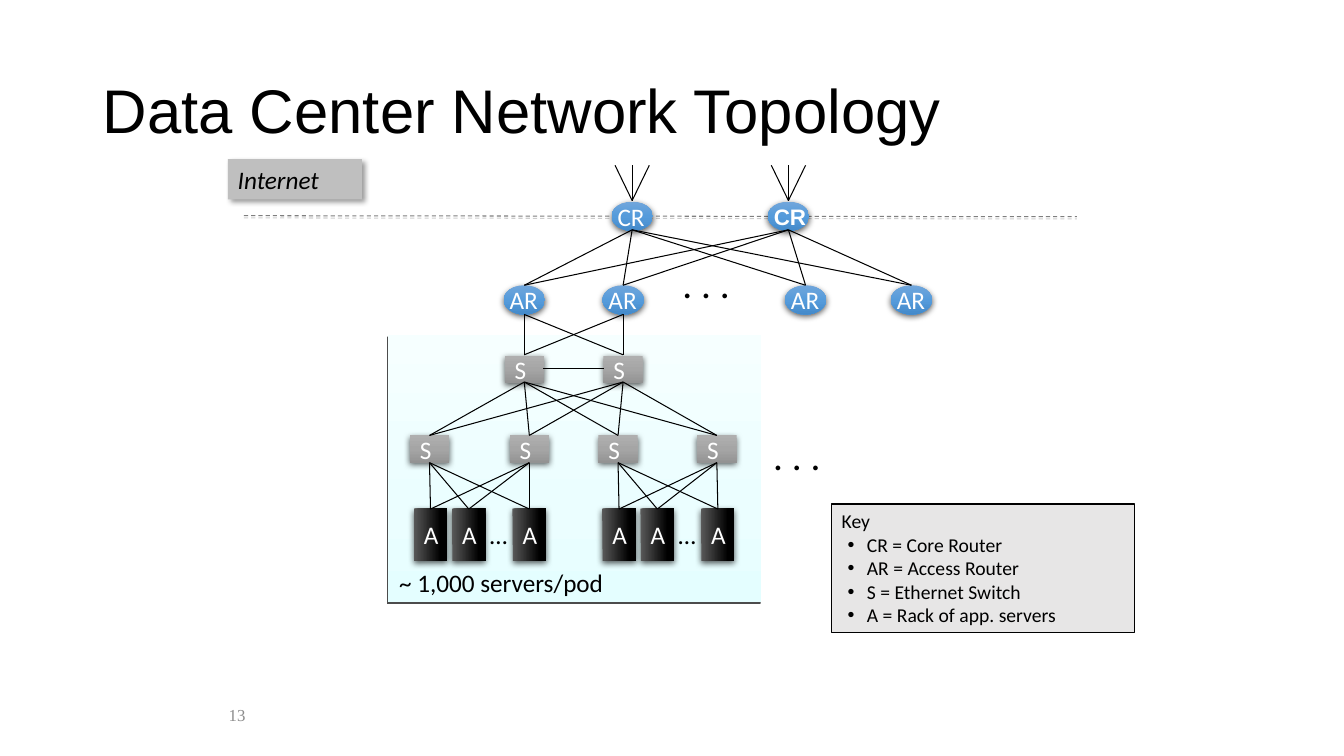
from itertools import product

from pptx import Presentation
from pptx.dml.color import RGBColor
from pptx.enum.dml import MSO_LINE
from pptx.enum.shapes import MSO_CONNECTOR, MSO_SHAPE
from pptx.enum.text import MSO_ANCHOR, MSO_AUTO_SIZE, PP_ALIGN
from pptx.oxml import parse_xml
from pptx.oxml.ns import nsdecls, qn
from pptx.util import Inches, Pt

COLORS = {"black": "000000", "white": "FFFFFF", "number": "8C8C8C",
          "internet": "BFBFBF", "key": "E7E6E6", "border": "7F7F7F"}
# Gradients: angle in degrees, then (position in percent, colour)
GRADIENTS = {
    "pod": (90, [(0, "F6FFFF"), (65, "EBFEFF"), (100, "E4FEFF")]),
    "router": (90, [(0, "71A6DB"), (50, "559BDB"), (100, "448ACA")]),
    "switch": (90, [(0, "AFAFAF"), (50, "A5A5A5"), (100, "939393")]),
    "rack": (0, [(0, "595959"), (80, "000000"), (100, "000000")]),
}
# Shadows: colour, opacity in percent, blur and distance in points, angle
SHADOWS = {"pod": ("000000", 69, 0, 1.6, 120),
           "border": ("808080", 38, 0, 1.6, 90),
           "node": ("000000", 63, 4.5, 1.5, 90),
           "internet": ("000000", 40, 4, 3, 45)}


def rgb(name):
    return RGBColor.from_string(COLORS[name])


class Diagram:
    """Holds the text style and the slide being drawn."""

    font = {"name": "Calibri", "size": 18, "color": "black"}

    def __init__(self, prs):
        self.slide = prs.slides.add_slide(prs.slide_layouts[5])

    def run(self, p, text, **style):
        r = p.add_run()
        r.text = text
        style = {**self.font, **style}
        r.font.color.rgb = rgb(style.pop("color"))
        style["size"] = Pt(style["size"])
        for name, value in style.items():
            setattr(r.font, name, value)

    def frame(self, sp, text, frame=None, **style):
        tf = sp.text_frame
        values = {"word_wrap": True, "auto_size": MSO_AUTO_SIZE.NONE,
                  "vertical_anchor": MSO_ANCHOR.TOP, **(frame or {})}
        for name, value in values.items():
            setattr(tf, name, value)
        p = tf.paragraphs[0]
        p.alignment = PP_ALIGN.LEFT
        self.run(p, text, **style)
        return tf

    def title(self, text, x, y, w, h):
        sp = self.slide.shapes.title
        sp.left, sp.top, sp.width, sp.height = map(Inches, (x, y, w, h))
        tf = self.frame(sp, text, MIDDLE, name="Arial", size=44)
        tf.paragraphs[0].line_spacing = 0.9

    def text(self, text, x, y, w, h, frame=None, **style):
        sp = self.slide.shapes.add_textbox(*map(Inches, (x, y, w, h)))
        self.frame(sp, text, frame, **style)

    def shadow(self, spPr, name):
        """Add an effect list, empty if no shadow is named."""
        effects = spPr.find(qn("a:effectLst"))
        if effects is None:
            effects = parse_xml(f'<a:effectLst {nsdecls("a")}/>')
            spPr.append(effects)
        if name:
            color, alpha, blur, dist, angle = SHADOWS[name]
            effects.append(parse_xml(
                f'<a:outerShdw {nsdecls("a")} blurRad="{Pt(blur)}" dist="{Pt(dist)}" '
                f'dir="{angle * 60000}" algn="ctr" rotWithShape="0">'
                f'<a:srgbClr val="{color}"><a:alpha val="{alpha * 1000}"/>'
                '</a:srgbClr></a:outerShdw>'))

    def gradient(self, sp, name):
        angle, stops = GRADIENTS[name]
        sp.fill.gradient()
        spPr = sp._element.spPr
        gs = "".join(f'<a:gs pos="{pos * 1000}"><a:srgbClr val="{color}"/></a:gs>'
                     for pos, color in stops)
        spPr.replace(spPr.find(qn("a:gradFill")), parse_xml(
            f'<a:gradFill {nsdecls("a")} rotWithShape="0"><a:gsLst>{gs}</a:gsLst>'
            f'<a:lin ang="{angle * 60000}" scaled="0"/></a:gradFill>'))

    def shape(self, kind, x, y, w, h, fill, shadow=None, line=None):
        sp = self.slide.shapes.add_shape(kind, *map(Inches, (x, y, w, h)))
        if fill in GRADIENTS:
            self.gradient(sp, fill)
        else:
            sp.fill.solid()
            sp.fill.fore_color.rgb = rgb(fill)
        if line:
            sp.line.color.rgb = rgb(line)
            sp.line.width = Pt(0.75)
        else:
            sp.line.fill.background()
        sp.shadow.inherit = False
        self.shadow(sp._element.spPr, shadow)
        return sp

    def node(self, kind, text, cx, y, w, h, fill, frame, **style):
        sp = self.shape(kind, cx - w / 2, y, w, h, fill, "node")
        self.frame(sp, text, frame, **{"color": "white", **style})
        return sp

    def router(self, text, cx, y, **style):
        self.node(MSO_SHAPE.OVAL, text, cx, y, 0.41, 0.29, "router",
                  {**LABEL, **NO_INSETS}, **style)

    def switch(self, cx, y):
        self.node(MSO_SHAPE.RECTANGLE, "S", cx, y, 0.39, 0.27, "switch", LABEL)

    def rack(self, cx, y):
        sp = self.node(MSO_SHAPE.FLOWCHART_PREDEFINED_PROCESS, "A", cx, y,
                       0.52, 0.33, "rack", LABEL)
        sp.rotation = 269.5
        sp.text_frame._txBody.bodyPr.set("vert", "eaVert")

    def line(self, x1, y1, x2, y2, color="black", dash=None, shadow=None):
        c = self.slide.shapes.add_connector(
            MSO_CONNECTOR.STRAIGHT, *map(Inches, (x1, y1, x2, y2)))
        c.line.color.rgb = rgb(color)
        c.line.width = Pt(0.75)
        if dash:
            c.line.dash_style = dash
        self.shadow(c._element.spPr, shadow)

    def mesh(self, tops, y1, bottoms, y2):
        """Join every top point with every bottom point."""
        for x1, x2 in product(tops, bottoms):
            self.line(x1, y1, x2, y2)

    def key(self, heading, items, x, y, w, h):
        sp = self.shape(MSO_SHAPE.RECTANGLE, x, y, w, h, "key", line="black")
        tf = self.frame(sp, heading, GROW, size=14)
        for item in items:
            p = tf.add_paragraph()
            p.alignment = PP_ALIGN.LEFT
            pPr = p._p.get_or_add_pPr()
            pPr.set("marL", str(Inches(0.25)))
            pPr.set("indent", str(Inches(-0.19)))
            pPr.append(parse_xml(f'<a:buFont {nsdecls("a")} typeface="Arial"/>'))
            pPr.append(parse_xml(f'<a:buChar {nsdecls("a")} char="•"/>'))
            self.run(p, item, size=14)


MIDDLE = {"vertical_anchor": MSO_ANCHOR.MIDDLE}
LABEL = {**MIDDLE, "word_wrap": False}
NO_INSETS = {f"margin_{side}": 0 for side in ("left", "top", "right", "bottom")}
GROW = {"auto_size": MSO_AUTO_SIZE.SHAPE_TO_FIT_TEXT}
GROW_LABEL = {**GROW, "word_wrap": False}

CORE = [6.27, 7.82]
ACCESS = [5.2, 6.18, 7.99, 9.04]
UPPER = ACCESS[:2]
LOWER = [4.26, 5.25, 6.13, 7.11]
RACK_STEPS = [0, 0.98, 0.38]


def main():
    prs = Presentation()
    prs.slide_width, prs.slide_height = Inches(13.33), Inches(7.5)
    d = Diagram(prs)
    d.title("Data Center Network Topology", 0.92, 0.4, 11.5, 1.45)
    d.text("13", 2.17, 6.83, 2.33, 0.52, MIDDLE,
           name="Times New Roman", size=12, color="number")
    d.shape(MSO_SHAPE.RECTANGLE, 3.85, 3.32, 3.7, 2.65, "pod", "pod")
    d.line(2.42, 2.14, 10.68, 2.15, "border", MSO_LINE.DASH, "border")
    internet = d.shape(MSO_SHAPE.RECTANGLE, 2.26, 1.58, 1.33, 0.4,
                       "internet", "internet")
    d.frame(internet, "Internet", GROW, italic=True)

    core_styles = [{}, {"name": "Arial", "size": 16, "bold": True}]
    for x, style in zip(CORE, core_styles):
        d.router("CR", x, 2, **style)
        d.mesh([x - 0.17, x, x + 0.17], 1.64, [x], 1.99)
    for x in ACCESS:
        d.router("AR", x, 2.83)
    for x in UPPER:
        d.switch(x, 3.53)
    for x in LOWER:
        d.switch(x, 4.32)
    d.mesh(CORE, 2.28, ACCESS, 2.83)
    d.mesh(UPPER, 3.12, UPPER, 3.52)
    d.line(5.39, 3.66, 5.99, 3.66)
    d.mesh(UPPER, 3.79, LOWER, 4.32)

    for pair in (LOWER[:2], LOWER[2:]):
        racks = [pair[0] + 0.01 + step for step in RACK_STEPS]
        for x in racks:
            d.rack(x, 5.14)
        d.text("…", pair[0] + 0.5, 5.1, 0.38, 0.4, GROW_LABEL)
        d.mesh(pair, 4.59, racks, 5.05)

    for x, y in ((6.67, 2.52), (7.57, 4.23)):
        d.text(". . .", x, y, 0.68, 0.57, GROW_LABEL, size=28)
    d.text("~ 1,000 servers/pod", 3.86, 5.58, 3.66, 0.4, GROW)
    d.key("Key", ["CR = Core Router", "AR = Access Router",
                  "S = Ethernet Switch", "A = Rack of app. servers"],
          8.25, 5, 3, 1.28)
    prs.save("out.pptx")


if __name__ == "__main__":
    main()
